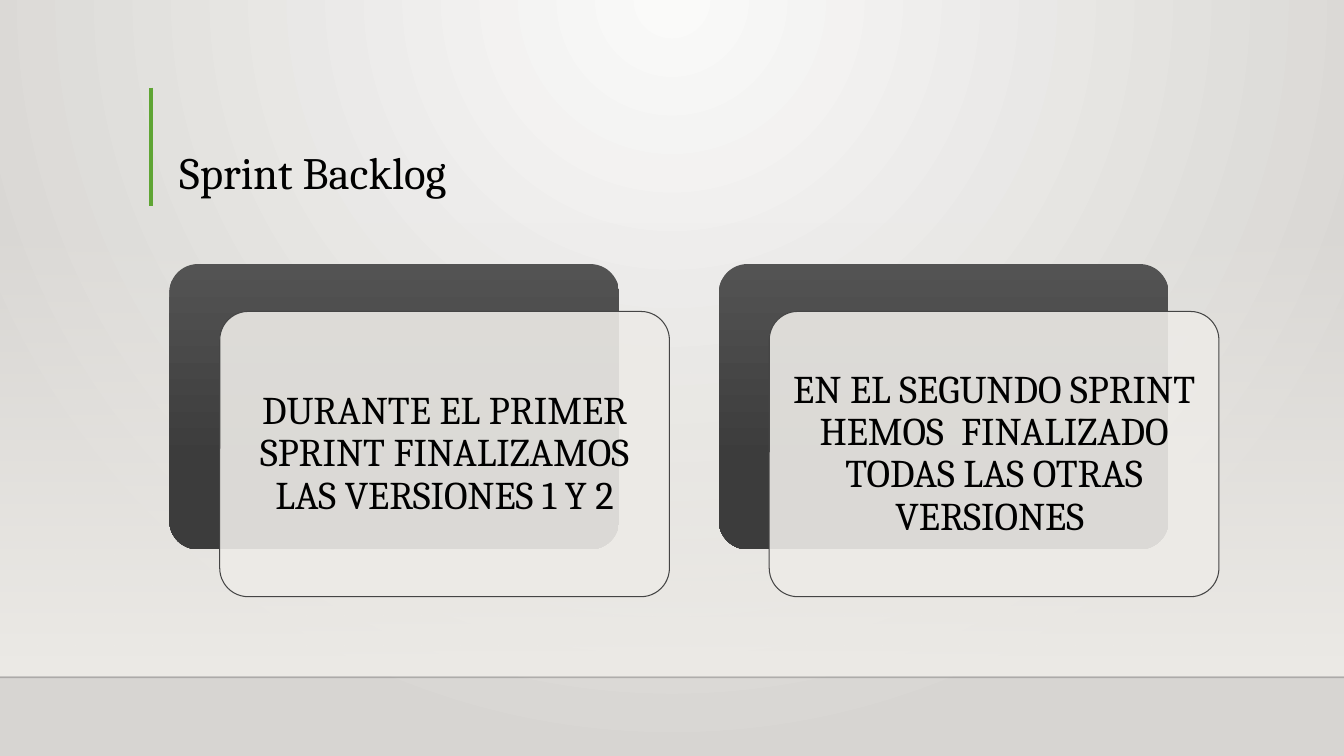
"""Build the Sprint Backlog slide with one layered card per sprint."""
from lxml import etree
from pptx import Presentation
from pptx.dml.color import RGBColor
from pptx.enum.shapes import MSO_CONNECTOR, MSO_SHAPE
from pptx.enum.text import MSO_ANCHOR, MSO_AUTO_SIZE, PP_ALIGN
from pptx.oxml.ns import qn
from pptx.util import Inches, Pt

STRAIGHT = MSO_CONNECTOR.STRAIGHT
RECTANGLE = MSO_SHAPE.RECTANGLE
ROUNDED = MSO_SHAPE.ROUNDED_RECTANGLE
MIDDLE, BOTTOM = MSO_ANCHOR.MIDDLE, MSO_ANCHOR.BOTTOM
NO_AUTOFIT = MSO_AUTO_SIZE.NONE
LEFT, CENTER = PP_ALIGN.LEFT, PP_ALIGN.CENTER

FONT = "Cambria"
PAPER = "EDEBE7"
CARD_WIDTH, CARD_HEIGHT = 4.46, 2.83
CARD_LEFT, CARD_TOP, CARD_PITCH = 1.68, 2.62, 5.45
OFFSET_X, OFFSET_Y = 0.5, 0.47
SPRINTS = [
    "DURANTE EL PRIMER SPRINT FINALIZAMOS LAS VERSIONES 1 Y 2",
    "EN EL SEGUNDO SPRINT HEMOS  FINALIZADO TODAS LAS OTRAS VERSIONES ",
]


def set_gradient(owner, stops, radial=False):
    """Replace the gradient inside owner with (percent, colour, opacity) stops."""
    gradient = next(owner.iter(qn("a:gradFill")))
    for child in list(gradient):
        gradient.remove(child)
    stop_list = etree.SubElement(gradient, qn("a:gsLst"))
    for percent, colour, opacity in stops:
        stop = etree.SubElement(stop_list, qn("a:gs"), pos=str(percent * 1000))
        srgb = etree.SubElement(stop, qn("a:srgbClr"), val=colour)
        if opacity < 100:
            etree.SubElement(srgb, qn("a:alpha"), val=str(opacity * 1000))
    if radial:
        centre = etree.SubElement(gradient, qn("a:path"), path="circle")
        etree.SubElement(centre, qn("a:fillToRect"), l="43000", t="0", r="43000", b="100000")
    else:
        etree.SubElement(gradient, qn("a:lin"), ang="5400000", scaled="0")


def add_text(paragraph, text, size, alignment):
    """Add one formatted run to the paragraph."""
    paragraph.alignment = alignment
    paragraph.line_spacing = 0.9
    run = paragraph.add_run()
    run.text = text
    run.font.size = Pt(size)
    run.font.name = FONT
    run.font.color.rgb = RGBColor.from_string("000000")


prs = Presentation()
prs.slide_width, prs.slide_height = Inches(13.33), Inches(7.5)
slide = prs.slides.add_slide(prs.slide_layouts[5])
shapes = slide.shapes

slide.background.fill.gradient()
set_gradient(slide.element, [(0, "FAFAF9", 100), (100, "D7D5D2", 100)], radial=True)

wall = shapes.add_shape(RECTANGLE, 0, Inches(2.2), Inches(13.33), Inches(4.5))
wall.shadow.inherit = False
wall.line.fill.background()
wall.fill.gradient()
set_gradient(wall.element, [(0, PAPER, 0), (100, PAPER, 100)])

for x1, y1, x2, y2, colour, width, opacity in [
    (0, 6.72, 13.33, 6.72, "000001", 1, 20),
    (1.5, 0.87, 1.5, 2.04, "5FA534", 3, 100),
]:
    rule = shapes.add_connector(STRAIGHT, Inches(x1), Inches(y1), Inches(x2), Inches(y2))
    rule.line.color.rgb = RGBColor.from_string(colour)
    rule.line.width = Pt(width)
    srgb = next(rule.element.iter(qn("a:srgbClr")))
    etree.SubElement(srgb, qn("a:alpha"), val=str(opacity * 1000))
    etree.SubElement(rule.element.spPr, qn("a:effectLst"))

title = shapes.title
title.left, title.top = Inches(1.68), Inches(0.88)
title.width, title.height = Inches(10.41), Inches(1.15)
title.text_frame.auto_size = NO_AUTOFIT
title.text_frame.vertical_anchor = BOTTOM
add_text(title.text_frame.paragraphs[0], "Sprint Backlog", 32, LEFT)

for index, sprint in enumerate(SPRINTS):
    left = CARD_LEFT + index * CARD_PITCH
    backing, card = [
        shapes.add_shape(ROUNDED, Inches(left + dx), Inches(CARD_TOP + dy),
                         Inches(CARD_WIDTH), Inches(CARD_HEIGHT))
        for dx, dy in [(0, 0), (OFFSET_X, OFFSET_Y)]
    ]
    for panel in (backing, card):
        panel.shadow.inherit = False
        panel.adjustments[0] = 0.1

    backing.line.fill.background()
    backing.fill.gradient()
    set_gradient(backing.element, [(0, "535353", 100), (69, "3C3C3C", 100), (100, "393939", 100)])

    card.fill.solid()
    card.fill.fore_color.rgb = RGBColor.from_string(PAPER)
    srgb = next(card.element.spPr.iter(qn("a:srgbClr")))
    etree.SubElement(srgb, qn("a:alpha"), val="90000")
    card.line.color.rgb = RGBColor.from_string("454545")
    card.line.width = Pt(0.75)

    frame = card.text_frame
    frame.word_wrap = True
    frame.vertical_anchor = MIDDLE
    frame.margin_left = frame.margin_right = Inches(0.11)
    frame.margin_top = frame.margin_bottom = Inches(0.11)
    add_text(frame.paragraphs[0], sprint, 28, CENTER)
    frame.paragraphs[0].space_after = Pt(9.8)

prs.save("out.pptx")
